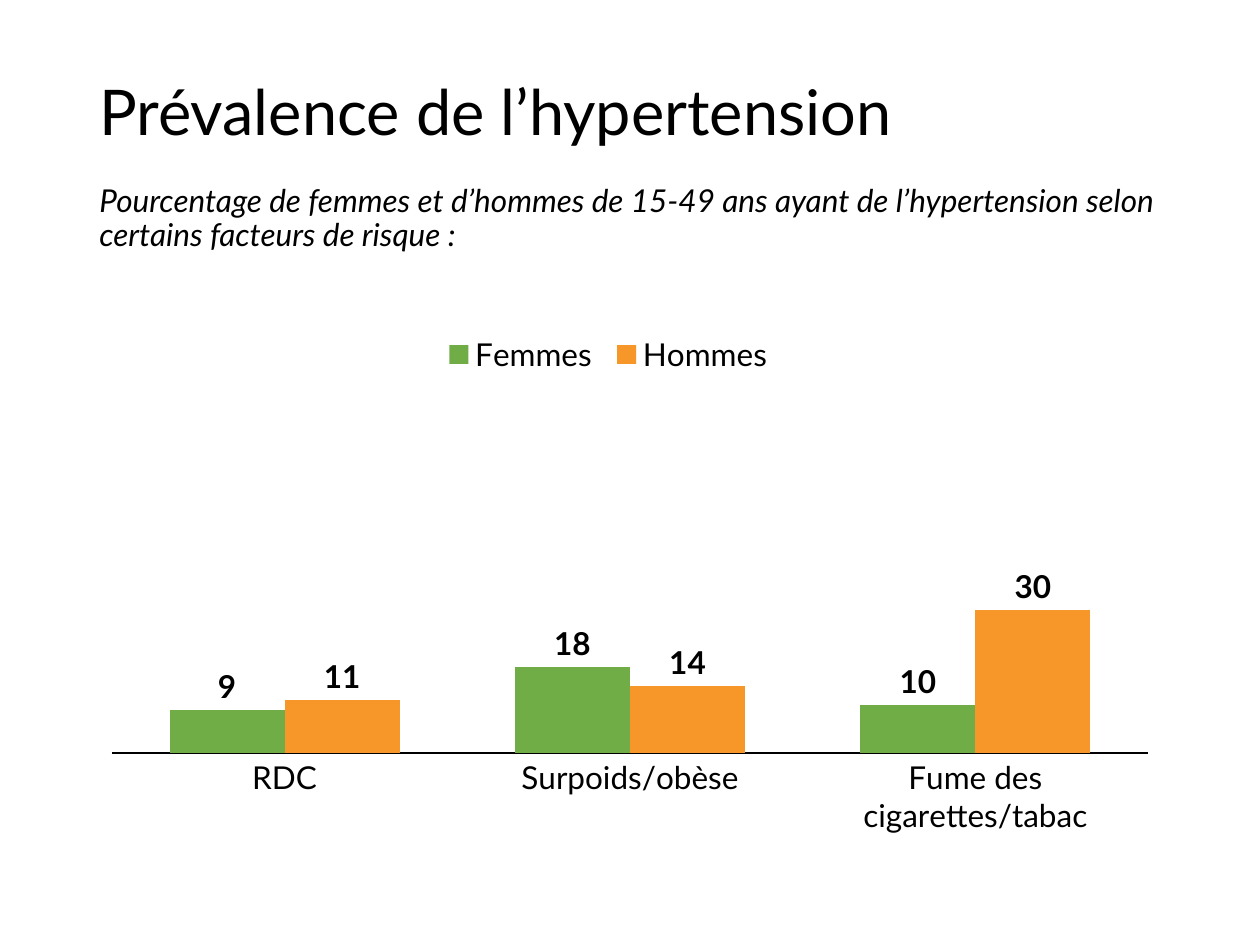
from pptx import Presentation
from pptx.chart.data import CategoryChartData
from pptx.dml.color import RGBColor
from pptx.enum.chart import XL_CHART_TYPE, XL_LABEL_POSITION, XL_LEGEND_POSITION, XL_TICK_MARK
from pptx.enum.text import MSO_ANCHOR
from pptx.oxml import parse_xml
from pptx.oxml.ns import nsdecls, qn
from pptx.util import Inches, Pt

TITLE = "Prévalence de l’hypertension"
SUBTITLE = ("Pourcentage de femmes et d’hommes de 15-49 ans ayant de l’hypertension "
            "selon certains facteurs de risque :")
CATEGORIES = ["RDC", "Surpoids/obèse", "Fume des cigarettes/tabac"]
SERIES = {"Femmes": (9, 18, 10), "Hommes": (11, 14, 30)}

THEME = {
    "font": "Lato",
    "text": RGBColor(0, 0, 0),
    "series": {"Femmes": RGBColor(0x70, 0xAD, 0x47), "Hommes": RGBColor(0xF8, 0x97, 0x29)},
    "title": Pt(36),
    "body": Pt(18),
}

WIDTH, HEIGHT = Inches(10), Inches(7.5)
LEFT = Inches(0.69)
CONTENT_WIDTH = WIDTH - 2 * LEFT
TITLE_TOP, SUBTITLE_TOP, CHART_TOP, CHART_BOTTOM = map(Inches, (0.4, 1.42, 2.08, 7.32))
PLOT_SHARES = (0.023, 0.019, 0.954, 0.725)
LEGEND_SHARES = (0.32, 0.1, 0.32, 0.08)


def style(font, size, bold=False, italic=False):
    font.name, font.size = THEME["font"], size
    font.bold, font.italic = bold, italic
    font.color.rgb = THEME["text"]


def add_text(slide, text, top, bottom, size, italic=False, anchor=MSO_ANCHOR.TOP, before=0):
    tf = slide.shapes.add_textbox(LEFT, top, CONTENT_WIDTH, bottom - top).text_frame
    tf.word_wrap = True
    tf.vertical_anchor = anchor
    p = tf.paragraphs[0]
    p.text = text
    p.line_spacing = 0.9
    p.space_before = Pt(before)
    style(p.font, size, italic=italic)


def layout(shares, inner=False):
    target = '<c:layoutTarget val="inner"/>' if inner else ""
    modes = "".join(f'<c:{a}Mode val="edge"/>' for a in "xy")
    sizes = "".join(f'<c:{a} val="{v}"/>' for a, v in zip("xywh", shares))
    return parse_xml(f'<c:layout {nsdecls("c")}><c:manualLayout>{target}{modes}{sizes}'
                     '</c:manualLayout></c:layout>')


def add_chart(slide):
    data = CategoryChartData()
    data.categories = CATEGORIES
    for name, values in SERIES.items():
        data.add_series(name, values)
    chart = slide.shapes.add_chart(
        XL_CHART_TYPE.COLUMN_CLUSTERED, LEFT, CHART_TOP, CONTENT_WIDTH,
        CHART_BOTTOM - CHART_TOP, data).chart
    style(chart.font, THEME["body"])
    chart.has_title = False

    plot = chart.plots[0]
    plot.gap_width, plot.overlap, plot.vary_by_categories = 100, 0, False
    for series in plot.series:
        series.format.fill.solid()
        series.format.fill.fore_color.rgb = THEME["series"][series.name]
        labels = series.data_labels
        labels.show_value = True
        labels.position = XL_LABEL_POSITION.OUTSIDE_END
        style(labels.font, THEME["body"], bold=True)

    axis = chart.category_axis
    axis.major_tick_mark = XL_TICK_MARK.NONE
    axis.format.line.color.rgb = THEME["text"]
    axis.format.line.width = Pt(0.75)
    style(axis.tick_labels.font, THEME["body"])
    scale = chart.value_axis
    scale.minimum_scale, scale.maximum_scale = 0, 100
    scale.has_major_gridlines = False
    scale.visible = False

    chart.has_legend = True
    legend = chart.legend
    legend.position = XL_LEGEND_POSITION.RIGHT
    legend.include_in_layout = False
    style(legend.font, THEME["body"])

    area = chart.element.find(".//" + qn("c:plotArea"))
    for old in area.findall(qn("c:layout")):
        area.remove(old)
    area.insert(0, layout(PLOT_SHARES, inner=True))
    box = chart.element.find(".//" + qn("c:legend"))
    for old in box.findall(qn("c:layout")):
        box.remove(old)
    box.find(qn("c:legendPos")).addnext(layout(LEGEND_SHARES))


def main():
    prs = Presentation()
    prs.slide_width, prs.slide_height = WIDTH, HEIGHT
    slide = prs.slides.add_slide(prs.slide_layouts[6])
    add_text(slide, TITLE, TITLE_TOP, SUBTITLE_TOP, THEME["title"], anchor=MSO_ANCHOR.MIDDLE)
    add_text(slide, SUBTITLE, SUBTITLE_TOP, CHART_TOP, THEME["body"], italic=True, before=10)
    add_chart(slide)
    prs.save("out.pptx")


if __name__ == "__main__":
    main()
